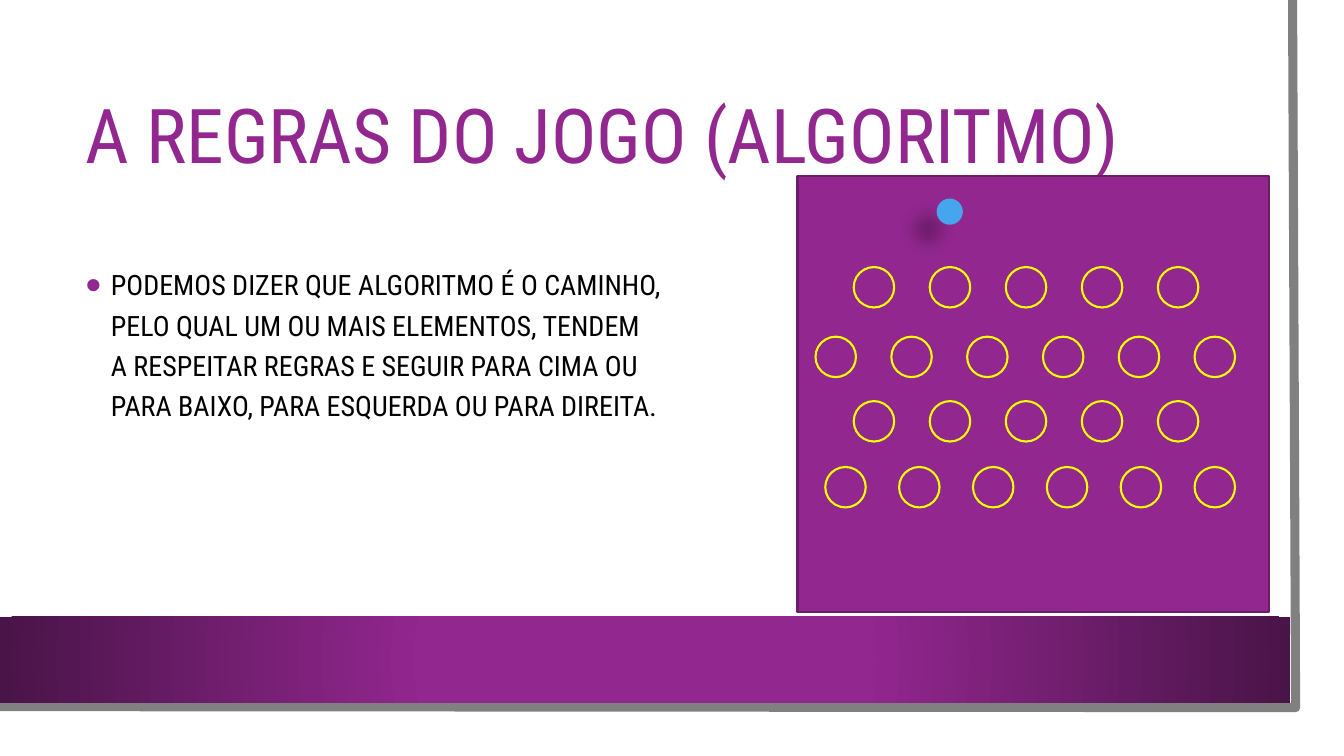
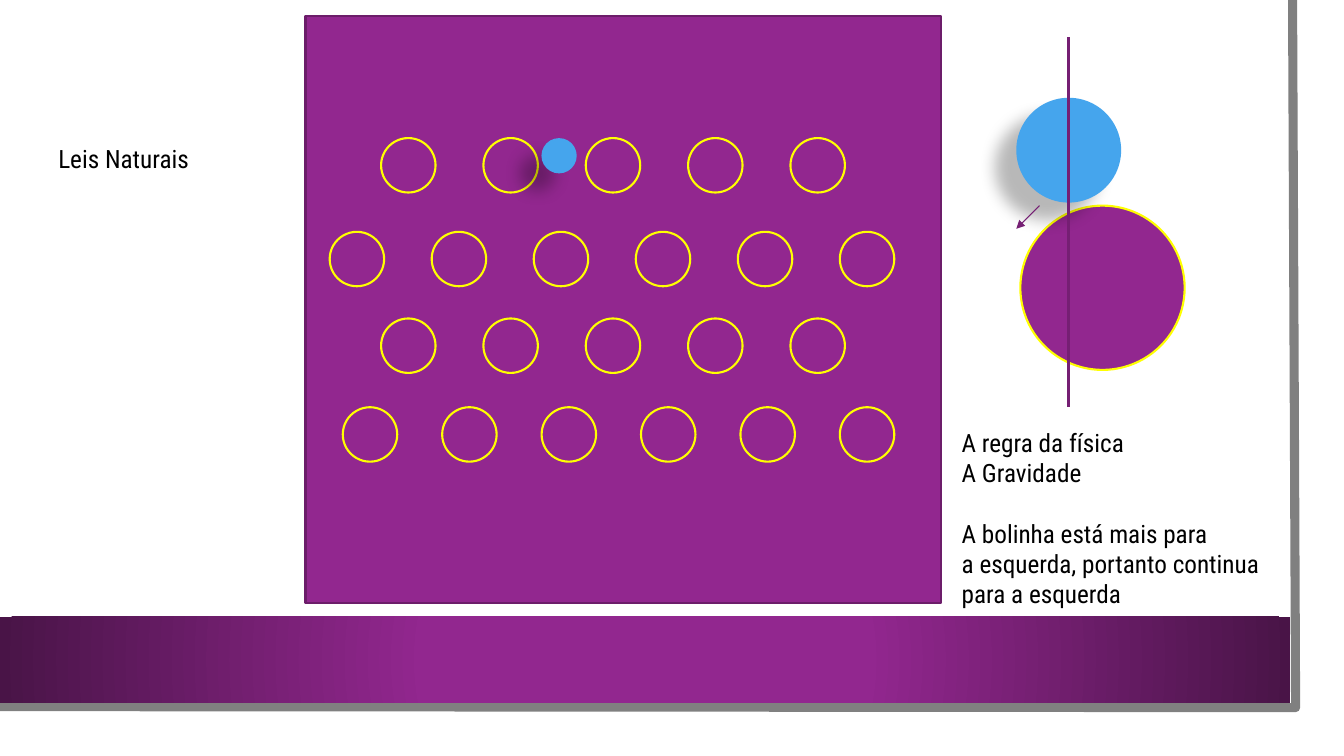
from lxml.etree import SubElement
from pptx import Presentation
from pptx.dml.color import RGBColor
from pptx.enum.shapes import MSO_CONNECTOR, MSO_SHAPE
from pptx.enum.text import MSO_ANCHOR, MSO_AUTO_SIZE, PP_ALIGN
from pptx.oxml.ns import qn
from pptx.util import Inches, Pt

# Theme
FONT = "Roboto Condensed"
PURPLE = RGBColor(0x92, 0x27, 0x8F)
DARK = RGBColor(0x49, 0x14, 0x47)
EDGE = RGBColor(0x6C, 0x1D, 0x6A)
LINE = RGBColor(0x75, 0x1F, 0x73)
YELLOW = RGBColor(0xFF, 0xFF, 0x00)
BLUE = RGBColor(0x45, 0xA5, 0xED)
GREY = RGBColor(0x80, 0x80, 0x80)
BLACK = RGBColor(0, 0, 0)
WHITE = RGBColor(0xFF, 0xFF, 0xFF)

# Board at full size: width, height, peg size, and rows of (left, top, pitch, count)
BOARD_W, BOARD_H, PEG = 6.3, 5.82, 0.54
ROWS = [(0.75, 1.21, 1.015, 5), (0.24, 2.14, 1.012, 6),
        (0.75, 3.0, 1.015, 5), (0.37, 3.88, 0.986, 6)]


def add_node(parent, tag, **attrs):
    return SubElement(parent, qn(tag), attrs)


def add_form(shapes, kind, x, y, w, h, fill, edge=None):
    form = shapes.add_shape(kind, Inches(x), Inches(y), Inches(w), Inches(h))
    form.shadow.inherit = False
    form.fill.solid()
    form.fill.fore_color.rgb = fill
    if edge is None:
        form.line.fill.background()
    else:
        form.line.color.rgb = edge
        form.line.width = Pt(1.5)
    return form


def add_peg(shapes, x, y, size):
    add_form(shapes, MSO_SHAPE.OVAL, x, y, size, size, PURPLE, YELLOW)


def add_ball(shapes, x, y, size):
    ball = add_form(shapes, MSO_SHAPE.OVAL, x, y, size, size, BLUE)
    effects = ball._element.spPr.find(qn("a:effectLst"))
    shade = add_node(effects, "a:outerShdw", blurRad=str(Pt(11.8)),
                     dist=str(Pt(19.7)), dir=str(141 * 60000),
                     algn="ctr", rotWithShape="0")
    color = add_node(shade, "a:srgbClr", val="000000")
    add_node(color, "a:alpha", val="28000")


def add_board(slide, x, y, scale, ball):
    shapes = slide.shapes.add_group_shape().shapes
    add_form(shapes, MSO_SHAPE.RECTANGLE, x, y,
             BOARD_W * scale, BOARD_H * scale, PURPLE, EDGE)
    for left, top, pitch, count in ROWS:
        for col in range(count):
            add_peg(shapes, x + (left + col * pitch) * scale,
                    y + top * scale, PEG * scale)
    add_ball(shapes, *ball)


def add_line(slide, start, end, width, arrow=False):
    points = [Inches(v) for v in (*start, *end)]
    line = slide.shapes.add_connector(MSO_CONNECTOR.STRAIGHT, *points)
    line.line.color.rgb = LINE
    line.line.width = Pt(width)
    if arrow:
        add_node(line.line._get_or_add_ln(), "a:tailEnd", type="triangle")
    add_node(line._element.spPr, "a:effectLst")


def add_run(para, text, size, color=BLACK):
    run = para.add_run()
    run.text = text
    run.font.size = Pt(size)
    run.font.name = FONT
    run.font.color.rgb = color


def add_note(slide, x, y, w, h, paras):
    """Each paragraph is (space before, lines)."""
    box = slide.shapes.add_textbox(Inches(x), Inches(y), Inches(w), Inches(h))
    frame = box.text_frame
    frame.word_wrap = False
    frame.auto_size = MSO_AUTO_SIZE.SHAPE_TO_FIT_TEXT
    for i, (gap, lines) in enumerate(paras):
        para = frame.add_paragraph() if i else frame.paragraphs[0]
        para.space_before = Pt(gap)
        for j, line in enumerate(lines):
            if j:
                para.add_line_break()
            add_run(para, line, 18)


def place(holder, x, y, w, h, spacing):
    """Move a placeholder and return its first paragraph."""
    holder.left, holder.top = Inches(x), Inches(y)
    holder.width, holder.height = Inches(w), Inches(h)
    frame = holder.text_frame
    frame.word_wrap = True
    frame.auto_size = MSO_AUTO_SIZE.NONE
    frame.vertical_anchor = MSO_ANCHOR.MIDDLE
    para = frame.paragraphs[0]
    para.alignment = PP_ALIGN.LEFT
    para.line_spacing = spacing
    para.space_before = Pt(0)
    return para


def set_title(slide, text):
    para = place(slide.shapes.title, 0.75, 0.75, 11.37, 1.26, 0.9)
    add_run(para, text, 54, PURPLE)


def set_body(slide, text):
    para = place(slide.placeholders[1], 0.75, 2.08, 5.92, 2.62, 1.2)
    props = para._p.get_or_add_pPr()
    props.set("marL", str(Inches(0.25)))
    props.set("indent", str(Inches(-0.25)))
    add_node(add_node(props, "a:buClr"), "a:srgbClr", val=str(PURPLE))
    add_node(props, "a:buSzPct", val="160000")
    add_node(props, "a:buFont", typeface="Arial")
    add_node(props, "a:buChar", char="•")
    add_run(para, text, 20)


def add_frame(prs, slide):
    """Draw the sheet, its edge and the band, then move them to the master."""
    shapes = slide.shapes
    sheet = add_form(shapes, MSO_SHAPE.RECTANGLE, 0, 0, 13.1, 7.27, WHITE)

    pen = shapes.build_freeform(Inches(12.82), 0)
    pen.add_line_segments([(Inches(12.85), Inches(7.02)),
                           (Inches(-0.03), Inches(7.01))], close=False)
    edge = pen.convert_to_shape()
    edge.shadow.inherit = False
    edge.fill.background()
    edge.line.color.rgb = GREY
    edge.line.width = Pt(6.5)

    band = add_form(shapes, MSO_SHAPE.RECTANGLE, 0, 6.12, 12.8, 0.85, PURPLE)
    band.fill.gradient()
    stops = zip(band.fill.gradient_stops, [(0.34, PURPLE), (1, DARK)])
    for stop, (pos, color) in stops:
        stop.position = pos
        stop.color.rgb = color
    grad = band._element.spPr.find(qn("a:gradFill"))
    grad.remove(grad.find(qn("a:lin")))
    way = add_node(grad, "a:path", path="circle")
    add_node(way, "a:fillToRect", l="50000", t="50000", r="50000", b="50000")

    tree = prs.slide_master.shapes._spTree
    for spot, form in enumerate((sheet, edge, band), start=2):
        tree.insert(spot, form._element)


def rules_slide(prs):
    slide = prs.slides.add_slide(prs.slide_layouts[1])
    add_frame(prs, slide)
    set_title(slide, "A REGRAS DO JOGO (ALGORITMO)")
    set_body(slide, "PODEMOS DIZER QUE ALGORITMO É O CAMINHO, PELO QUAL UM OU "
                    "MAIS ELEMENTOS, TENDEM A RESPEITAR REGRAS E SEGUIR PARA "
                    "CIMA OU PARA BAIXO, PARA ESQUERDA OU PARA DIREITA.")
    add_board(slide, 7.91, 1.75, 0.743, (9.29, 1.97, 0.26))


def laws_slide(prs):
    slide = prs.slides.add_slide(prs.slide_layouts[6])
    add_board(slide, 3.03, 0.16, 1, (5.37, 1.37, 0.35))
    # Close view of the ball on a peg
    add_peg(slide.shapes, 10.12, 2.04, 1.63)
    add_ball(slide.shapes, 10.08, 0.97, 1.04)
    add_note(slide, 9.44, 4.19, 3.36, 1.92, [
        (0, ["A regra da física"]),
        (0, ["A Gravidade"]),
        (21.6, ["A bolinha está mais para", "a esquerda, portanto continua"]),
        (0, ["para a esquerda"])])
    add_line(slide, (10.6, 0.37), (10.6, 4.04), 2.25)
    add_line(slide, (10.31, 2.04), (10.08, 2.27), 0.75, arrow=True)
    add_note(slide, 0.48, 1.37, 1.54, 0.4, [(0, ["Leis Naturais"])])


def main():
    prs = Presentation()
    prs.slide_width, prs.slide_height = Inches(13.33), Inches(7.5)
    rules_slide(prs)
    laws_slide(prs)
    prs.save("out.pptx")


if __name__ == "__main__":
    main()
